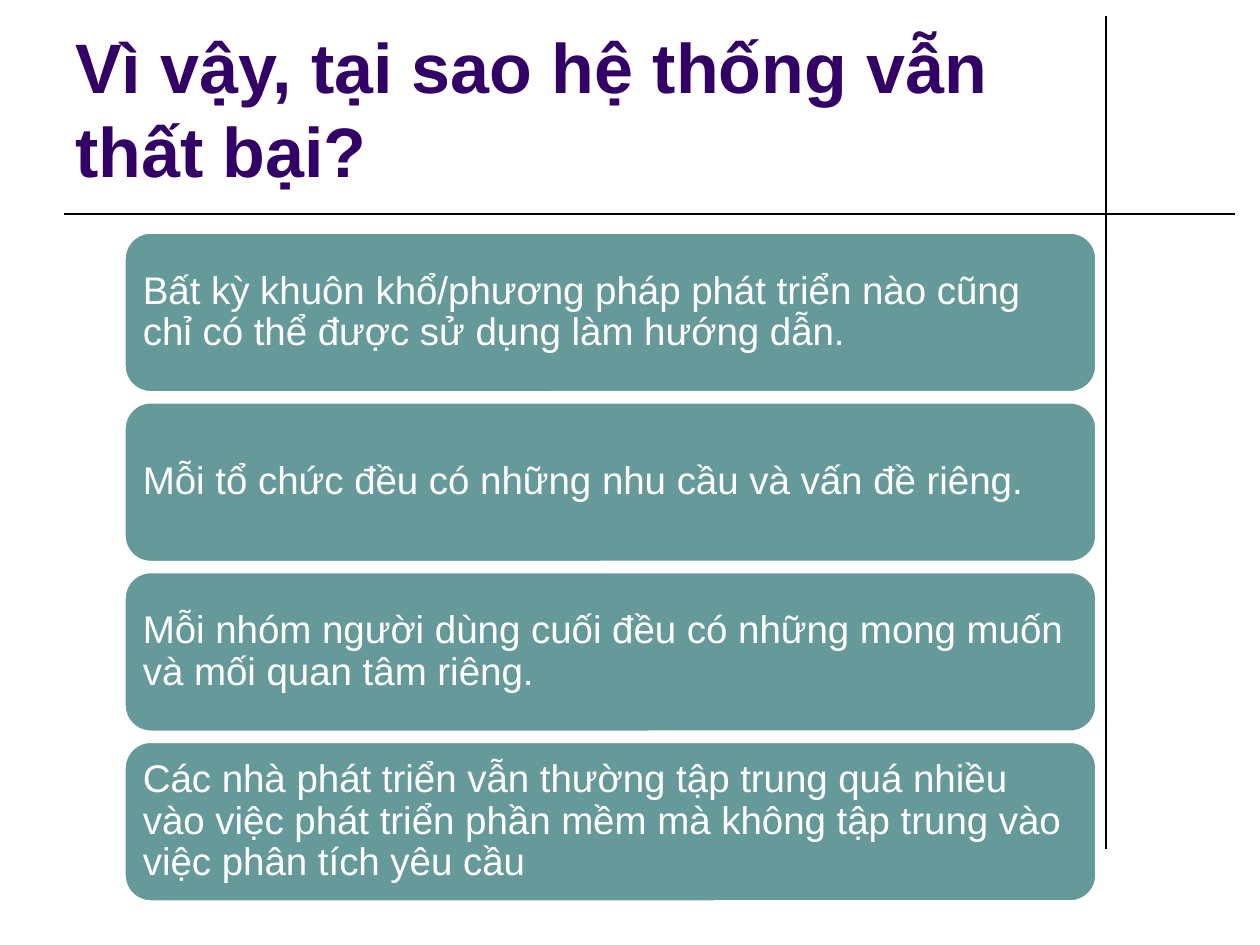
from pptx import Presentation, util as u
from pptx.dml.color import RGBColor
from pptx.enum import shapes, text
from pptx.oxml.ns import qn
from lxml import etree

SCALE = 914400 / 126  # EMU per px

TITLE = "Vì vậy, tại sao hệ thống vẫn thất bại?"
REASONS = [
    "Bất kỳ khuôn khổ/phương pháp phát triển nào cũng chỉ có thể được sử dụng làm hướng dẫn.",
    "Mỗi tổ chức đều có những nhu cầu và vấn đề riêng.",
    "Mỗi nhóm người dùng cuối đều có những mong muốn và mối quan tâm riêng.",
    "Các nhà phát triển vẫn thường tập trung quá nhiều vào việc phát triển phần mềm "
    "mà không tập trung vào việc phân tích yêu cầu",
]


def px(n):
    return u.Emu(round(n * SCALE))


def color(code):
    return RGBColor.from_string(code)


def write(shape, words, size, code, anchor, bold=False):
    frame = shape.text_frame
    frame.word_wrap = True
    frame.vertical_anchor = anchor
    frame.text = words
    para = frame.paragraphs[0]
    para.alignment = text.PP_ALIGN.LEFT
    font = para.runs[0].font
    font.name, font.size, font.bold = "Arial", u.Pt(size), bold
    font.color.rgb = color(code)
    return para


def draw_rule(slide, x1, y1, x2, y2):
    rule = slide.shapes.add_connector(
        shapes.MSO_CONNECTOR.STRAIGHT, px(x1), px(y1), px(x2), px(y2))
    rule.line.color.rgb = color("000000")
    rule.line.width = u.Pt(0.75)
    props = rule._element.find(qn("p:spPr"))
    etree.SubElement(props, qn("a:effectLst"))


def draw_title(slide, x, y, w, h):
    box = slide.shapes.add_textbox(px(x), px(y), px(w), px(h))
    write(box, TITLE, 40, "330066", text.MSO_ANCHOR.BOTTOM, bold=True)


def draw_cards(slide, x, y, w, h, gap):
    # Equal cards fill the box from top to bottom
    count = len(REASONS)
    tall = (h - gap * (count - 1)) / count
    for i, words in enumerate(REASONS):
        card = slide.shapes.add_shape(
            shapes.MSO_SHAPE.ROUNDED_RECTANGLE,
            px(x), px(y + i * (tall + gap)), px(w), px(tall))
        card.shadow.inherit = False
        card.fill.solid()
        card.fill.fore_color.rgb = color("669999")
        card.line.color.rgb = color("FFFFFF")
        card.line.width = u.Pt(2)
        para = write(card, words, 22, "FFFFFF", text.MSO_ANCHOR.MIDDLE)
        para.line_spacing = 0.9
        frame = card.text_frame
        frame.margin_left = frame.margin_right = px(11)
        frame.margin_top = frame.margin_bottom = px(11)


def main():
    deck = Presentation()
    deck.slide_width, deck.slide_height = px(1260), px(945)
    slide = deck.slides.add_slide(deck.slide_layouts[6])

    # Crossing rules
    draw_rule(slide, 1106, 16, 1106, 849)
    draw_rule(slide, 64, 214, 1235, 214)

    # Heading and reasons
    draw_title(slide, 63, 38, 994, 160)
    draw_cards(slide, 124, 232, 973, 670, 9)

    deck.save("out.pptx")


if __name__ == "__main__":
    main()
